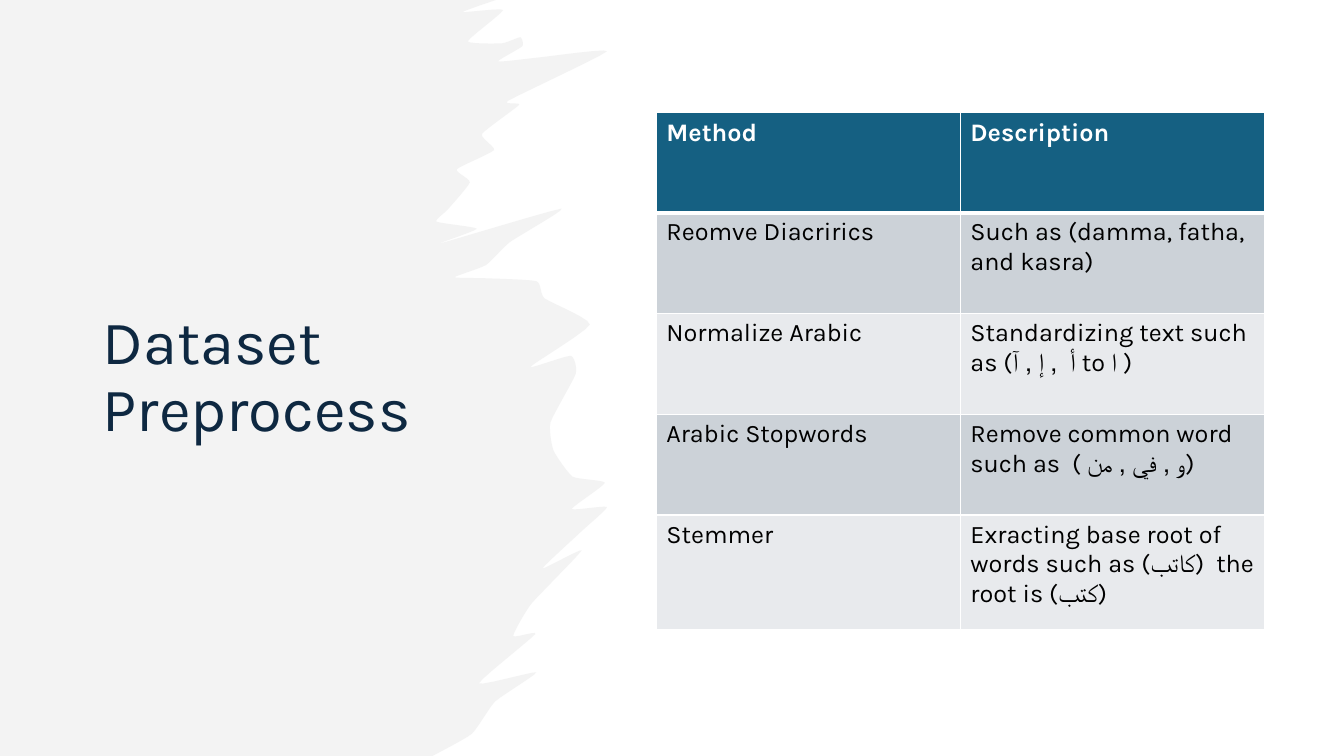
from dataclasses import dataclass

from lxml.etree import SubElement
from pptx import Presentation
from pptx.dml.color import RGBColor
from pptx.enum.text import MSO_ANCHOR
from pptx.oxml.ns import qn
from pptx.util import Emu, Pt

PX = 9144  # EMU in one px, 100 px to the inch


@dataclass(frozen=True)
class Theme:
    font: str = "Karla"
    title_size: int = 44
    table_size: int = 18
    title: str = "0E2841"
    brush: str = "E8E8E8"
    header: str = "156082"
    header_text: str = "FFFFFF"
    bands: tuple = ("CCD2D8", "E8EAED")
    body_text: str = "000000"
    rule: str = "FFFFFF"


THEME = Theme()

ROWS = [
    ("Method", "Description"),
    ("Reomve Diacrirics", "Such as (damma, fatha, and kasra)"),
    ("Normalize Arabic", "Standardizing text such as (أ  , إ , آ to ا )"),
    ("Arabic Stopwords", "Remove common word such as  ( و , في , من)"),
    ("Stemmer", "Exracting base root of words such as (كاتب)  the root is (كتب)"),
]
HEADER_HEIGHT, ROW_HEIGHT, LAST_HEIGHT = 99, 100, 114

# Tips and notches of the ragged brush edge, from top to bottom
EDGE = [
    (492, 0), (459, 12), (499, 10), (464, 41), (498, 43), (516, 37), (518, 46),
    (494, 61), (535, 57), (602, 51), (504, 100), (515, 104), (478, 133),
    (490, 149), (453, 168), (466, 181), (444, 208), (433, 220), (473, 227),
    (435, 242), (557, 207), (506, 240), (482, 263), (451, 275), (479, 276),
    (532, 279), (540, 296), (585, 322), (526, 364), (566, 353), (571, 371),
    (546, 419), (549, 447), (568, 473), (600, 479), (567, 505), (602, 503),
    (578, 526), (538, 564), (577, 546), (527, 599), (509, 631), (531, 629),
    (475, 678), (532, 667), (491, 696), (468, 728), (429, 750),
]


def px(n):
    return Emu(round(n * PX))


def rgb(code):
    return RGBColor.from_string(code)


def style(p, size, color, bold=False):
    for r in p.runs:
        r.font.name = THEME.font
        r.font.size = Pt(size)
        r.font.bold = bold
        r.font.color.rgb = rgb(color)


def smooth(points, steps=6, tension=0.25):
    """Points along a soft curve that passes through each given point."""
    padded = [points[0], *points, points[-1]]
    curve = [points[0]]
    for before, start, end, after in zip(padded, padded[1:], padded[2:], padded[3:]):
        for i in range(1, steps + 1):
            t = i / steps
            ease = t * t * (3 - 2 * t)
            leave, arrive = t * (1 - t) ** 2, t * t * (t - 1)
            curve.append(tuple(
                s + (e - s) * ease + tension * ((e - b) * leave + (a - s) * arrive)
                for b, s, e, a in zip(before, start, end, after)))
    return curve


def add_brush(slide, x, y, h):
    outline = smooth(EDGE) + [(0, h)]
    builder = slide.shapes.build_freeform(px(x), px(y))
    builder.add_line_segments([(px(x + ex), px(y + ey)) for ex, ey in outline], close=True)
    sp = builder.convert_to_shape()
    sp.shadow.inherit = False
    sp.line.fill.background()
    sp.fill.solid()
    sp.fill.fore_color.rgb = rgb(THEME.brush)
    # Half transparent
    color = sp._element.spPr.find(qn("a:solidFill"))[0]
    SubElement(color, qn("a:alpha"), val="50000")


def add_title(slide, x, y, w, h):
    tf = slide.shapes.add_textbox(px(x), px(y), px(w), px(h)).text_frame
    tf.word_wrap = True
    tf.vertical_anchor = MSO_ANCHOR.MIDDLE
    p = tf.paragraphs[0]
    p.text = "Dataset Preprocess"
    p.line_spacing = 0.9
    style(p, THEME.title_size, THEME.title)


def set_borders(cell, top, bottom):
    tc_pr = cell._tc.get_or_add_tcPr()
    for side, width in (("L", 1), ("R", 1), ("T", top), ("B", bottom)):
        ln = SubElement(tc_pr, qn(f"a:ln{side}"), w=str(Pt(width)))
        fill = SubElement(ln, qn("a:solidFill"))
        SubElement(fill, qn("a:srgbClr"), val=THEME.rule)


def add_methods_table(slide, x, y, w):
    heights = [HEADER_HEIGHT, *[ROW_HEIGHT] * (len(ROWS) - 2), LAST_HEIGHT]
    frame = slide.shapes.add_table(len(ROWS), len(ROWS[0]), px(x), px(y),
                                   px(w), px(sum(heights)))
    table = frame.table
    for column in table.columns:
        column.width = px(w / len(ROWS[0]))
    for i, (row, height) in enumerate(zip(ROWS, heights)):
        table.rows[i].height = px(height)
        header = i == 0
        fill = THEME.header if header else THEME.bands[(i - 1) % 2]
        color = THEME.header_text if header else THEME.body_text
        for j, text in enumerate(row):
            cell = table.cell(i, j)
            # A thick rule parts the header from the body
            set_borders(cell, top=3 if i == 1 else 1, bottom=3 if header else 1)
            cell.fill.solid()
            cell.fill.fore_color.rgb = rgb(fill)
            cell.text_frame.text = text
            style(cell.text_frame.paragraphs[0], THEME.table_size, color, header)


def main():
    prs = Presentation()
    prs.slide_width, prs.slide_height = px(1333), px(750)
    slide = prs.slides.add_slide(prs.slide_layouts[6])
    add_brush(slide, 0, 0, 750)
    add_title(slide, 92, 78, 442, 594)
    add_methods_table(slide, 651, 112, 603)
    prs.save("out.pptx")


if __name__ == "__main__":
    main()
